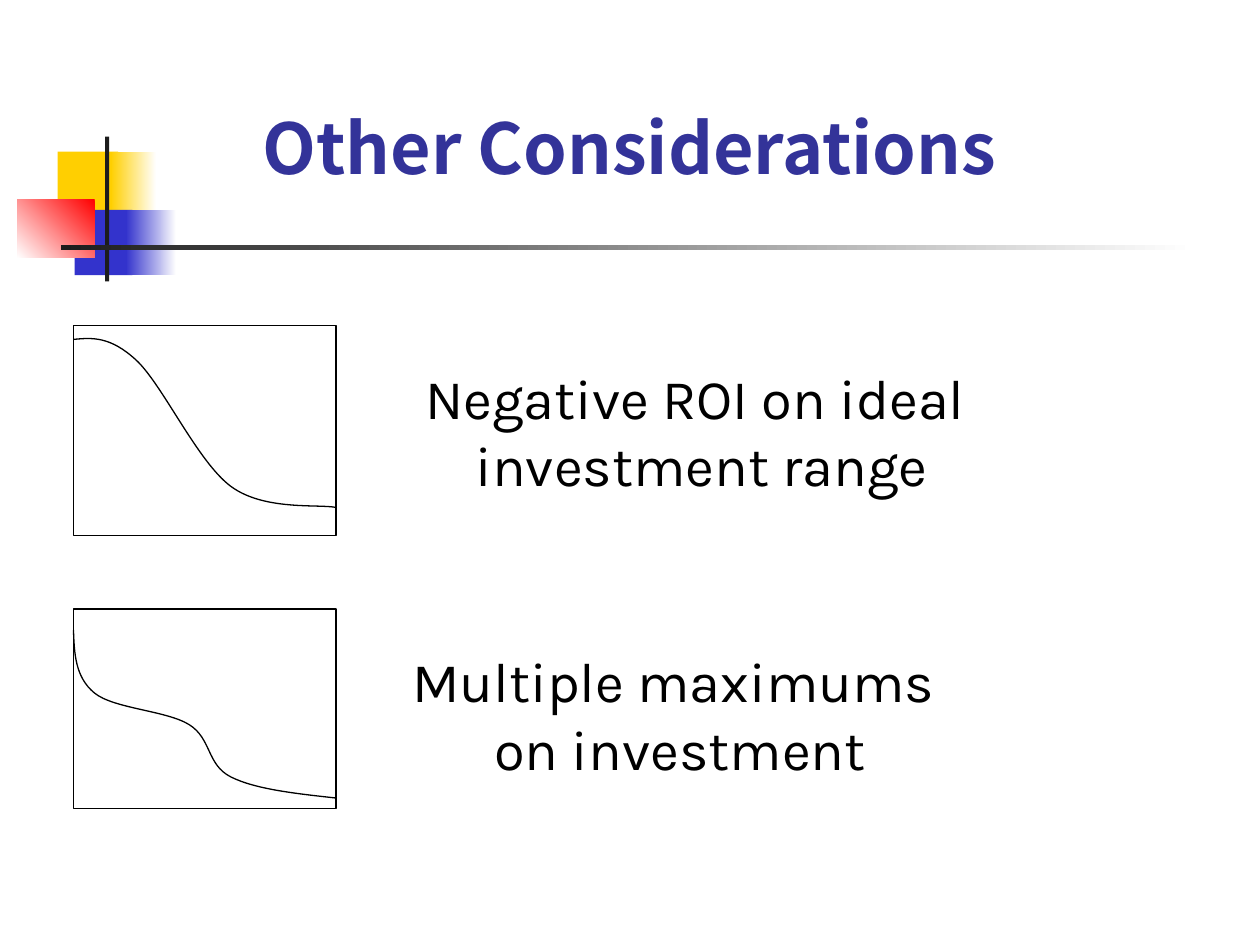
from collections import namedtuple

from lxml.etree import SubElement
from pptx import Presentation
from pptx.dml.color import RGBColor
from pptx.enum.shapes import MSO_SHAPE
from pptx.enum.text import MSO_ANCHOR, MSO_AUTO_SIZE, PP_ALIGN
from pptx.oxml.ns import qn
from pptx.util import Pt

Theme = namedtuple(
    "Theme", "white black yellow blue red charcoal title title_font body_font title_size body_size")
theme = Theme(
    *map(RGBColor.from_string, (
        "FFFFFF", "000000", "FFCF01", "3333CC", "FF0000", "1C1C1C", "333399")),
    "Noto Sans CJK KR", "Karla", Pt(40), Pt(32))


def add_rectangle(box, colors, angle=180):
    """Fill with one colour, or with a gradient when two are given."""
    shape = slide.shapes.add_shape(MSO_SHAPE.RECTANGLE, *map(Pt, box))
    shape.shadow.inherit = False
    shape.line.fill.background()
    if len(colors) == 1:
        shape.fill.solid()
        shape.fill.fore_color.rgb = colors[0]
    else:
        shape.fill.gradient()
        shape.fill.gradient_angle = angle
        for stop, color in zip(shape.fill.gradient_stops, colors):
            stop.color.rgb = color
    return shape


def add_text(box, lines, font_format, color, frame_format):
    frame = slide.shapes.add_textbox(*map(Pt, box)).text_frame
    for name, value in frame_format.items():
        setattr(frame, name, value)
    frame.text = "\n".join(lines)
    for paragraph in frame.paragraphs:
        paragraph.alignment = PP_ALIGN.CENTER
        font = paragraph.runs[0].font
        for name, value in font_format.items():
            setattr(font, name, value)
        font.color.rgb = color


presentation = Presentation()
presentation.slide_width, presentation.slide_height = Pt(720), Pt(540)
slide = presentation.slides.add_slide(presentation.slide_layouts[6])

# Corner ornament and the fading rule under the title; angles run counter-clockwise
ornament = [
    ((33, 86.6, 34.5, 37.4), [theme.yellow], 0),
    ((63.4, 86.6, 25.9, 37.4), [theme.white, theme.yellow], 180),
    ((42.6, 119.9, 33.1, 37.4), [theme.blue], 0),
    ((72, 119.9, 28.8, 37.4), [theme.white, theme.blue], 180),
    ((9.9, 113.9, 44.2, 33.4), [theme.red, theme.white], 225),
    ((60, 78.1, 2.4, 82.7), [theme.charcoal], 0),
    ((34.8, 140.2, 648, 2.5), [theme.white, theme.charcoal], 180),
]
for box, colors, angle in ornament:
    add_rectangle(box, colors, angle)

add_text(
    (77.6, 0, 564, 111), ["Other Considerations"],
    {"name": theme.title_font, "size": theme.title_size, "bold": True}, theme.title,
    {"word_wrap": True, "vertical_anchor": MSO_ANCHOR.BOTTOM})

# Each graph: frame, curve start, then Bézier segments (two controls and an end)
graphs = [
    ((42, 186, 150, 120), (42, 194), [
        (52.5, 193), (63, 192), (78, 206),
        (93, 220), (113, 264), (132, 278),
        (151, 292), (182, 288), (192, 290)]),
    ((42, 348, 150, 114), (42, 360), [
        (42.5, 373.5), (43, 387), (54, 396),
        (65, 405), (95, 406), (108, 414),
        (121, 422), (118, 437), (132, 444),
        (146, 451), (169, 453.5), (192, 456)]),
]
for box, start, points in graphs:
    frame = add_rectangle(box, [theme.white])
    builder = slide.shapes.build_freeform(*map(Pt, start))
    builder.add_line_segments([(Pt(x), Pt(y)) for x, y in points], close=False)
    curve = builder.convert_to_shape()
    # Join every three straight segments into one cubic Bézier
    path = next(curve._element.iter(qn("a:path")))
    lines = path.findall(qn("a:lnTo"))
    for first in range(0, len(lines), 3):
        bezier = SubElement(path, qn("a:cubicBezTo"))
        for line in lines[first:first + 3]:
            bezier.append(line[0])
            path.remove(line)
    curve.shadow.inherit = False
    curve.fill.background()
    for shape in (frame, curve):
        shape.line.color.rgb = theme.black
        shape.line.width = Pt(0.75)

captions = [
    ((226.5, 204, 349.2, 84), ["Negative ROI on ideal ", "investment range"]),
    ((227.9, 366.1, 321.8, 84), ["Multiple maximums ", "on investment"]),
]
for box, lines in captions:
    add_text(
        box, lines, {"name": theme.body_font, "size": theme.body_size}, theme.black,
        {"word_wrap": False, "auto_size": MSO_AUTO_SIZE.SHAPE_TO_FIT_TEXT})

presentation.save("out.pptx")
